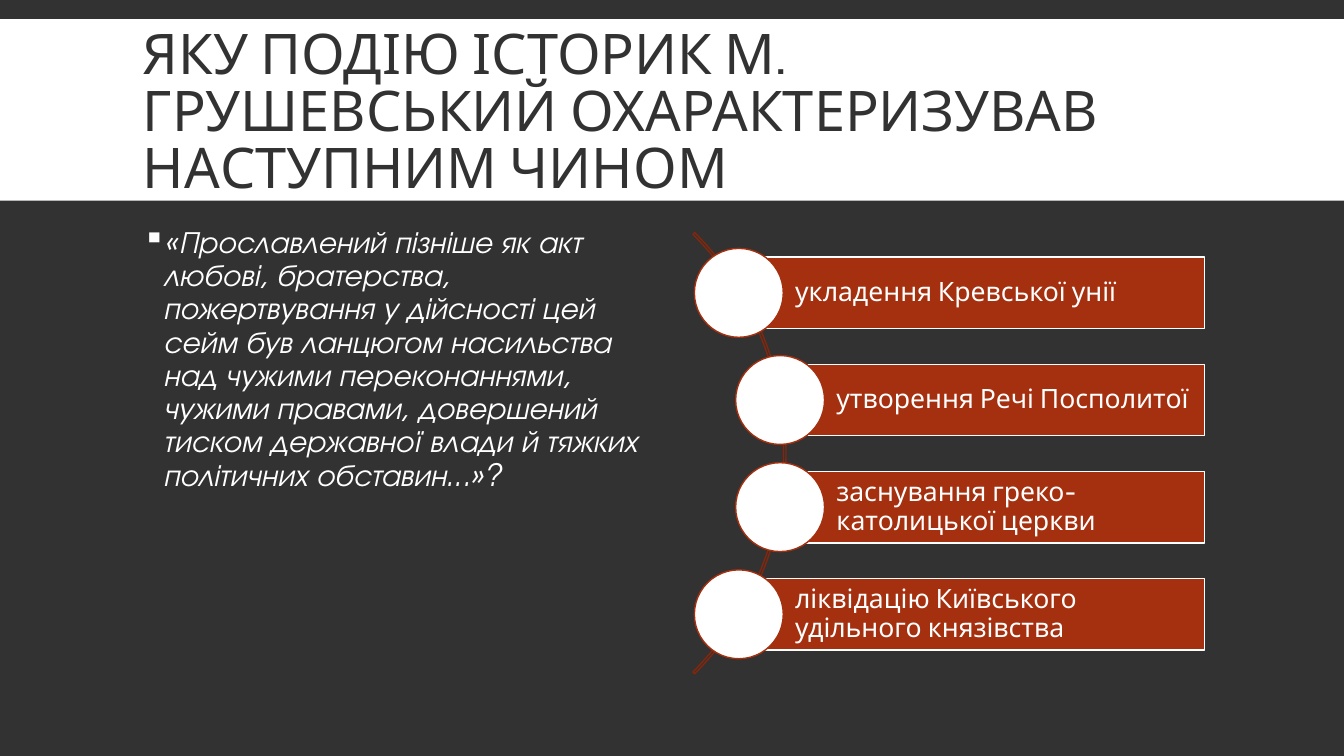
from dataclasses import dataclass

from lxml import etree
from pptx import Presentation
from pptx import util as u
from pptx.dml.color import RGBColor
from pptx.enum import shapes, text
from pptx.oxml import ns

DARK = RGBColor(0x32, 0x32, 0x32)
WHITE = RGBColor(0xFF, 0xFF, 0xFF)
RUST = RGBColor(0xA5, 0x30, 0x0F)
DARK_RUST = RGBColor(0x84, 0x26, 0x0C)

BAR_RIGHT, BAR_HEIGHT = 30.35, 1.8
FIRST_ROW, ROW_PITCH = 7.38, 2.7
CIRCLE = 2.24
OUTER, INNER = 18.62, 19.66


@dataclass
class Box:
    left: float
    top: float
    width: float
    height: float

    def lengths(self) -> tuple:
        return tuple(u.Cm(v) for v in (self.left, self.top, self.width, self.height))


@dataclass
class Answer:
    wording: str
    left: float


ANSWERS = [
    Answer("укладення Кревської унії", OUTER),
    Answer("утворення Речі Посполитої", INNER),
    Answer("заснування греко-католицької церкви", INNER),
    Answer("ліквідацію Київського удільного князівства", OUTER),
]


def apply(target, values: dict) -> None:
    for name, value in values.items():
        setattr(target, name, value)


def add_figure(slide, kind, box: Box, fill=None, line=None):
    figure = slide.shapes.add_shape(kind, *box.lengths())
    figure.shadow.inherit = False
    if fill is None:
        figure.fill.background()
    else:
        figure.fill.solid()
        figure.fill.fore_color.rgb = fill
    if line is None:
        figure.line.fill.background()
    else:
        figure.line.color.rgb = line
        figure.line.width = u.Pt(1)
    return figure


def write(holder, wording: str, frame: dict, paragraph: dict, font: dict, color: RGBColor):
    apply(holder.text_frame, {"word_wrap": True, **frame})
    line = holder.text_frame.paragraphs[0]
    line.text = wording
    apply(line, {"alignment": text.PP_ALIGN.LEFT, **paragraph})
    apply(line.runs[0].font, font)
    line.runs[0].font.color.rgb = color
    return line


def add_bullet(paragraph, mark: str, indent: u.Length, color: RGBColor) -> None:
    props = paragraph._p.get_or_add_pPr()
    props.set("marL", str(indent))
    props.set("indent", str(-indent))
    tint = etree.SubElement(props, ns.qn("a:buClr"))
    etree.SubElement(tint, ns.qn("a:srgbClr"), val=str(color))
    etree.SubElement(props, ns.qn("a:buChar"), char=mark)


def add_answer(slide, answer: Answer, middle: float) -> None:
    bar = add_figure(
        slide, shapes.MSO_SHAPE.RECTANGLE,
        Box(answer.left, middle - BAR_HEIGHT / 2, BAR_RIGHT - answer.left, BAR_HEIGHT),
        RUST, WHITE)
    write(bar, answer.wording,
          {"vertical_anchor": text.MSO_ANCHOR.MIDDLE, "margin_left": u.Cm(1.42),
           "margin_right": u.Cm(0.13), "margin_top": u.Cm(0.13), "margin_bottom": u.Cm(0.13)},
          {"line_spacing": 0.9}, {"name": "Cabin", "size": u.Pt(19)}, WHITE)
    add_figure(slide, shapes.MSO_SHAPE.OVAL,
               Box(answer.left - CIRCLE / 2, middle - CIRCLE / 2, CIRCLE, CIRCLE),
               WHITE, RUST)


def main() -> None:
    deck = Presentation()
    apply(deck, {"slide_width": u.Cm(33.87), "slide_height": u.Cm(19.05)})
    slide = deck.slides.add_slide(deck.slide_layouts[6])
    slide.background.fill.solid()
    slide.background.fill.fore_color.rgb = DARK

    # Title on a white band
    add_figure(slide, shapes.MSO_SHAPE.RECTANGLE, Box(0, 0.48, 33.87, 4.58), WHITE)
    title = slide.shapes.add_textbox(*Box(3.35, 0.79, 27.18, 4.19).lengths())
    write(title, "ЯКУ ПОДІЮ ІСТОРИК М. ГРУШЕВСЬКИЙ ОХАРАКТЕРИЗУВАВ НАСТУПНИМ ЧИНОМ",
          {"vertical_anchor": text.MSO_ANCHOR.MIDDLE}, {"line_spacing": 0.85},
          {"name": "Cabin", "size": u.Pt(40)}, DARK)

    # Quotation
    quotation = slide.shapes.add_textbox(*Box(3.35, 5.59, 13.21, 11.68).lengths())
    quote = write(
        quotation,
        "«Прославлений пізніше як акт любові, братерства, пожертвування у дійсності "
        "цей сейм був ланцюгом насильства над чужими переконаннями, чужими правами, "
        "довершений тиском державної влади й тяжких політичних обставин...»?",
        {}, {"line_spacing": 0.9, "space_after": u.Pt(2)},
        {"name": "TeX Gyre Adventor", "size": u.Pt(22), "italic": True}, WHITE)
    add_bullet(quote, "▪", u.Cm(0.51), WHITE)

    # Answers along an arc
    arc = add_figure(slide, shapes.MSO_SHAPE.BLOCK_ARC,
                     Box(4.09, 3.56, 15.72, 15.72), line=DARK_RUST)
    for position, value in enumerate((189, 27, 0.004)):
        arc.adjustments[position] = value
    for row, answer in enumerate(ANSWERS):
        add_answer(slide, answer, FIRST_ROW + row * ROW_PITCH)

    deck.save("out.pptx")


if __name__ == "__main__":
    main()
